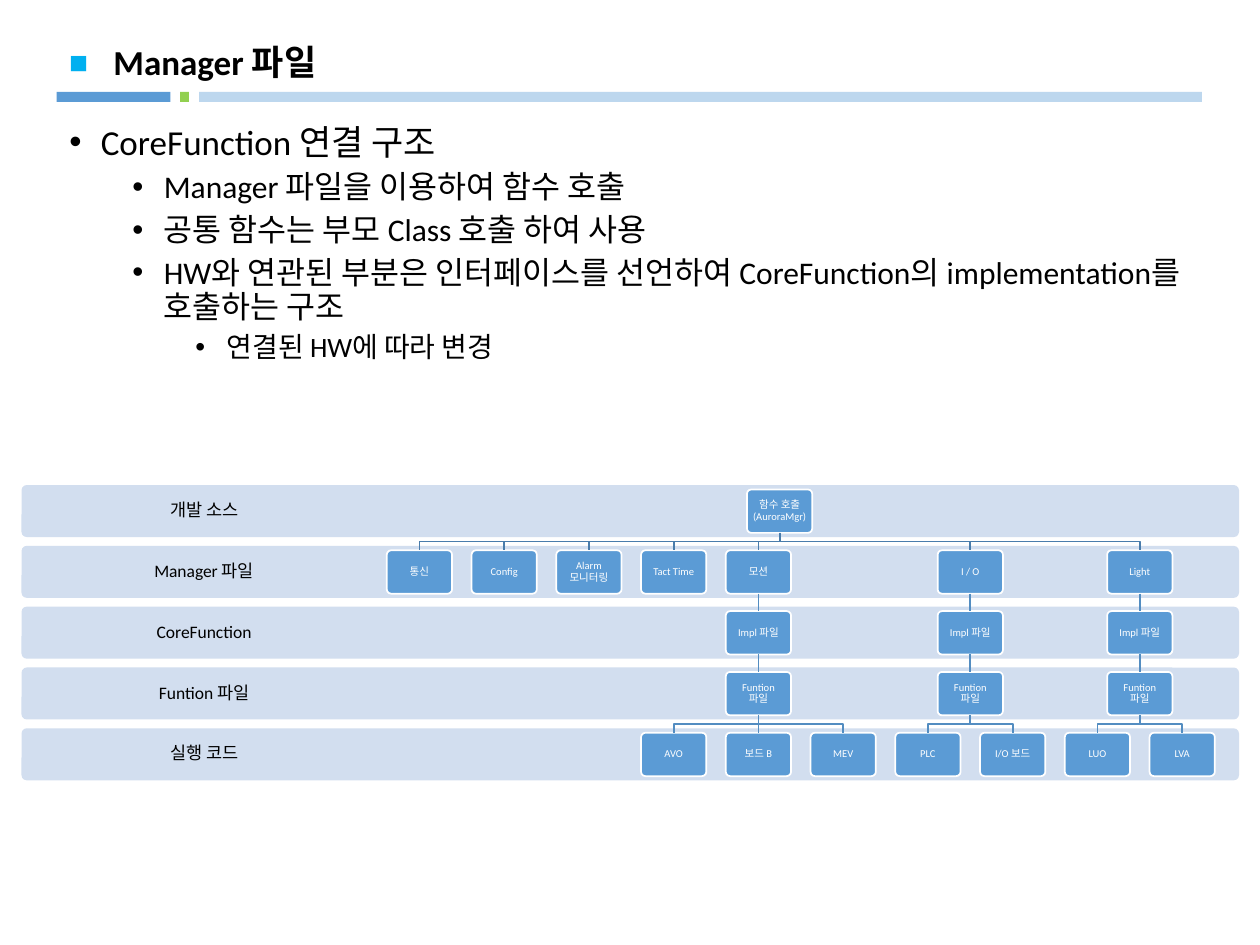
from lxml.etree import SubElement
from pptx import Presentation
from pptx.dml.color import RGBColor
from pptx.enum.shapes import MSO_CONNECTOR as Connector, MSO_SHAPE as Shape
from pptx.enum.text import MSO_ANCHOR as Anchor, MSO_AUTO_SIZE as AutoSize, PP_ALIGN as Align
from pptx.oxml.ns import qn
from pptx.util import Pt

COLORS = {
    "text": "000000", "white": "FFFFFF", "marker": "00B0F0",
    "blue": "5B9BD5", "pale": "BDD7EE", "green": "92D050",
    "band": "D2DEEF", "root_link": "497CAB", "link": "538DC1",
}
rgb = {role: RGBColor.from_string(value) for role, value in COLORS.items()}


def write(paragraph, text, size, color="text", font="Calibri", bold=False,
          align=Align.LEFT, line_spacing=0.9, before=0):
    paragraph.text = text
    paragraph.alignment = align
    paragraph.line_spacing = line_spacing
    paragraph.space_before = Pt(before)
    paragraph.font.size = Pt(size)
    paragraph.font.name = font
    paragraph.font.bold = bold
    paragraph.font.color.rgb = rgb[color]


def add_block(kind, left, top, width, height, fill):
    """Add a flat filled shape without outline or shadow."""
    block = slide.shapes.add_shape(kind, Pt(left), Pt(top), Pt(width), Pt(height))
    block.shadow.inherit = False
    block.fill.solid()
    block.fill.fore_color.rgb = rgb[fill]
    block.line.fill.background()
    if kind == Shape.ROUNDED_RECTANGLE:
        block.adjustments[0] = 0.1
    return block


prs = Presentation()
prs.slide_width, prs.slide_height = Pt(720), Pt(540)
slide = prs.slides.add_slide(prs.slide_layouts[1])

# Header
for left, width, fill in [(113.8, 573, "pale"), (32.4, 65, "blue"), (103, 5, "green")]:
    add_block(Shape.RECTANGLE, left, 52.5, width, 5.8, fill)

marker = slide.shapes.add_textbox(Pt(32.4), Pt(20.2), Pt(32.4), Pt(29))
write(marker.text_frame.paragraphs[0], "■", 18, color="marker", font="Arial",
      bold=True, line_spacing=1)

title = slide.shapes.title
title.left, title.top, title.width, title.height = Pt(57.6), Pt(21.6), Pt(628), Pt(30.2)
title.text_frame.vertical_anchor = Anchor.MIDDLE
title.text_frame.auto_size = AutoSize.NONE
write(title.text_frame.paragraphs[0], "Manager 파일", 20, bold=True)

# Bullet list
body = slide.placeholders[1]
body.left, body.top, body.width, body.height = Pt(32.4), Pt(67.7), Pt(654.5), Pt(439)
body.text_frame.auto_size = AutoSize.NONE
bullets = [
    (0, "CoreFunction 연결 구조"),
    (1, "Manager 파일을 이용하여 함수 호출"),
    (1, "공통 함수는 부모 Class 호출 하여 사용"),
    (1, "HW와 연관된 부분은 인터페이스를 선언하여 CoreFunction의 implementation를 호출하는 구조"),
    (2, "연결된 HW에 따라 변경"),
]
for i, (level, text) in enumerate(bullets):
    paragraph = body.text_frame.add_paragraph() if i else body.text_frame.paragraphs[0]
    paragraph.level = level
    properties = paragraph._p.get_or_add_pPr()
    properties.set("marL", str(Pt(18 + 36 * level)))
    properties.set("indent", str(Pt(-18)))
    SubElement(properties, qn("a:buFont"), typeface="Arial")
    SubElement(properties, qn("a:buChar"), char="•")
    write(paragraph, text, 20 - 2 * level, before=5 if i else 0)

# Layer bands
ROW_TOP, ROW_PITCH, BAND_HEIGHT = 277.2, 34.75, 29.7
layers = ["개발 소스", "Manager 파일", "CoreFunction", "Funtion 파일", "실행 코드"]
for row, layer in enumerate(layers):
    top = ROW_TOP + row * ROW_PITCH
    add_block(Shape.ROUNDED_RECTANGLE, 12.3, top, 695.7, BAND_HEIGHT, "band")
    label = slide.shapes.add_textbox(Pt(12.3), Pt(top), Pt(208.7), Pt(BAND_HEIGHT))
    label.text_frame.word_wrap = True
    label.text_frame.vertical_anchor = Anchor.MIDDLE
    write(label.text_frame.paragraphs[0], layer, 10, align=Align.CENTER)

# Call tree: key, text, row, column, parent key
COLUMN_START, COLUMN_PITCH = 239.7, 48.43
BOX_WIDTH, BOX_HEIGHT, BOX_OFFSET = 37.3, 24.8, 2.5
nodes = [("root", "함수 호출(AuroraMgr)", 0, 4.25, None)]
for column, text in enumerate(["통신", "Config", "Alarm 모니터링", "Tact Time"]):
    nodes.append((text, text, 1, column, "root"))
branches = [
    ("모션", 4, ["AVO", "보드 B", "MEV"]),
    ("I / O", 6.5, ["PLC", "I/O 보드"]),
    ("Light", 8.5, ["LUO", "LVA"]),
]
for manager, column, devices in branches:
    nodes += [
        (manager, manager, 1, column, "root"),
        (manager + "impl", "Impl 파일", 2, column, manager),
        (manager + "function", "Funtion 파일", 3, column, manager + "impl"),
    ]
    first_column = column - (len(devices) - 1) / 2
    for i, device in enumerate(devices):
        nodes.append((device, device, 4, first_column + i, manager + "function"))

boxes = {}
for key, text, row, column, parent in nodes:
    center = COLUMN_START + column * COLUMN_PITCH
    top = ROW_TOP + BOX_OFFSET + row * ROW_PITCH
    box = add_block(Shape.ROUNDED_RECTANGLE, center - BOX_WIDTH / 2, top,
                    BOX_WIDTH, BOX_HEIGHT, "blue")
    box.line.color.rgb = rgb["white"]
    box.line.width = Pt(1)
    frame = box.text_frame
    frame.word_wrap = True
    frame.vertical_anchor = Anchor.MIDDLE
    frame.margin_left = frame.margin_right = frame.margin_top = frame.margin_bottom = Pt(2.5)
    write(frame.paragraphs[0], text, 6, color="white", align=Align.CENTER)
    boxes[key] = (box, center, column)

    if parent is None:
        continue
    parent_box, parent_center, parent_column = boxes[parent]
    gap_top = top - ROW_PITCH + BOX_HEIGHT
    if column == parent_column:
        link = slide.shapes.add_connector(Connector.STRAIGHT, Pt(center), Pt(gap_top),
                                          Pt(center), Pt(top))
        link.begin_connect(parent_box, 2)
        link.end_connect(box, 0)
        SubElement(link._element.spPr, qn("a:effectLst"))
    else:
        middle = (gap_top + top) / 2
        builder = slide.shapes.build_freeform(Pt(parent_center), Pt(gap_top))
        builder.add_line_segments([(Pt(parent_center), Pt(middle)), (Pt(center), Pt(middle)),
                                   (Pt(center), Pt(top))], close=False)
        link = builder.convert_to_shape()
        link.fill.background()
        link.shadow.inherit = False
    link.line.color.rgb = rgb["root_link" if parent == "root" else "link"]
    link.line.width = Pt(1)

prs.save("out.pptx")
